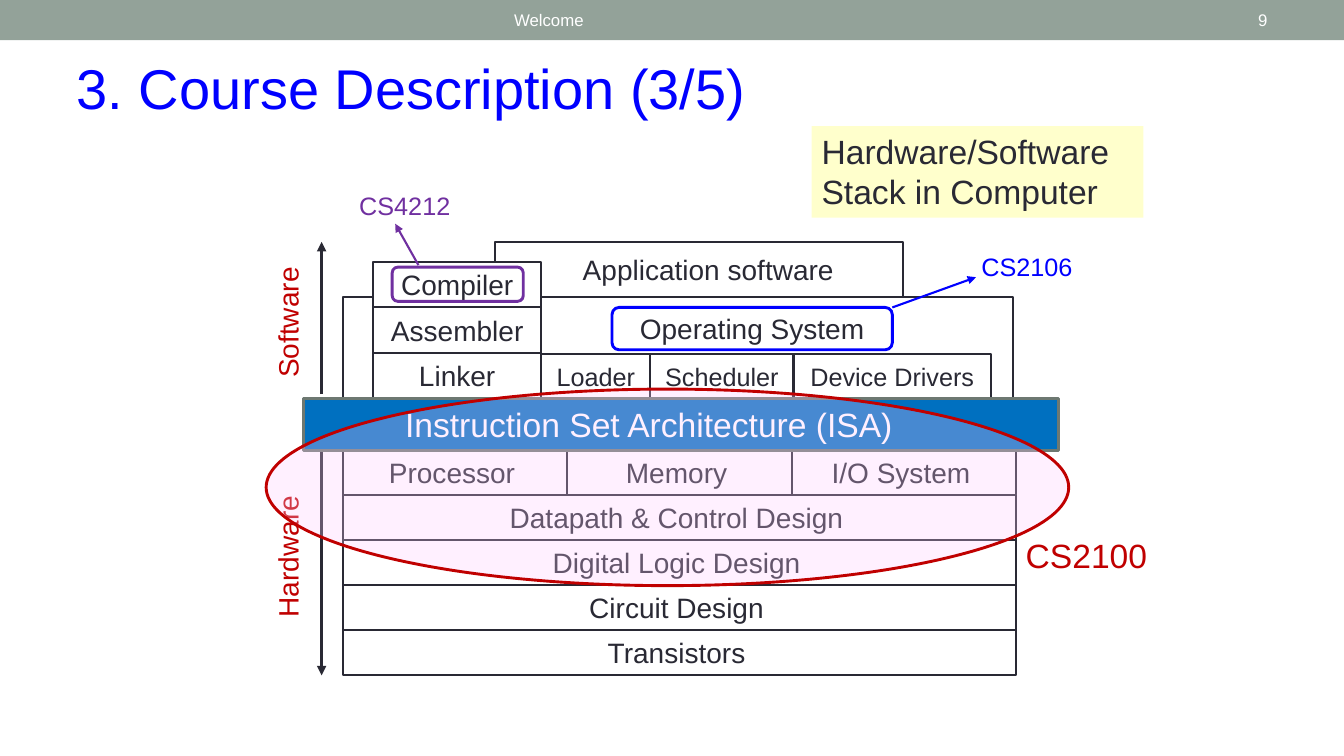
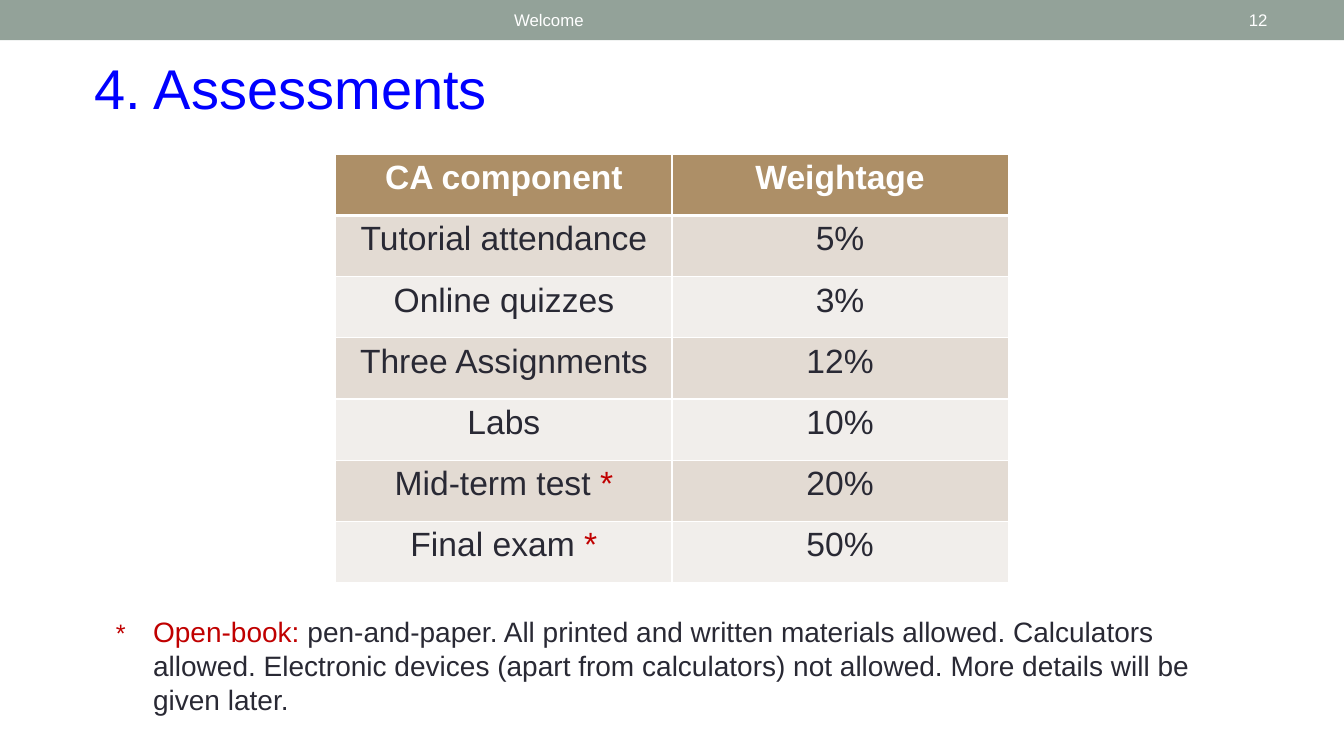
from lxml import etree
from pptx import Presentation
from pptx.dml import color
from pptx.enum import shapes, text
from pptx.oxml import ns
from pptx.util import Inches, Pt

FONT = "Arial"
INK, WHITE, BAND = "292934", "FFFFFF", "93A299"
BLUE, RED, PURPLE = "0000FF", "C00000", "7030A0"
SLIDE_WIDTH, SLIDE_HEIGHT = 13.33, 7.5
LEFT, CENTER, RIGHT = text.PP_ALIGN.LEFT, text.PP_ALIGN.CENTER, text.PP_ALIGN.RIGHT
TOP, MIDDLE = text.MSO_ANCHOR.TOP, text.MSO_ANCHOR.MIDDLE
RECT, ROUND, OVAL = (shapes.MSO_SHAPE.RECTANGLE, shapes.MSO_SHAPE.ROUNDED_RECTANGLE,
                     shapes.MSO_SHAPE.OVAL)


def paint(target, hex_color):
    """Give a fill, line fill or font a solid colour."""
    if hasattr(target, "solid"):
        target.solid()
        target.fore_color.rgb = color.RGBColor.from_string(hex_color)
    else:
        target.color.rgb = color.RGBColor.from_string(hex_color)


def inches(box):
    """Turn a box of numbers into lengths."""
    return [Inches(length) for length in box]


def child(parent, tag, **attributes):
    """Append a drawing element to its parent."""
    return etree.SubElement(parent, ns.qn(tag), attributes)


def add_runs(paragraph, runs, align=LEFT):
    """Add (wording, size, colour, bold) runs to a paragraph."""
    paragraph.alignment = align
    for wording, size, hex_color, bold in runs:
        run = paragraph.add_run()
        run.text = wording
        run.font.name, run.font.size, run.font.bold = FONT, Pt(size), bold
        paint(run.font, hex_color)


def set_text(frame, wording, size, hex_color, align=LEFT, anchor=TOP):
    """Fill a text frame with one wrapped line of wording."""
    frame.word_wrap = True
    frame.vertical_anchor = anchor
    add_runs(frame.paragraphs[0], [(wording, size, hex_color, False)], align)


def add_label(slide, box, wording, size, hex_color, align=CENTER, anchor=TOP, rotation=0):
    """Place free text, turned if asked."""
    label = slide.shapes.add_textbox(*inches(box))
    label.rotation = rotation
    set_text(label.text_frame, wording, size, hex_color, align, anchor)


def add_figure(slide, preset, box, fill=None, line=None, width=1.5):
    """Place a flat preset shape and return it."""
    figure = slide.shapes.add_shape(preset, *inches(box))
    figure.shadow.inherit = False
    if fill:
        paint(figure.fill, fill)
    else:
        figure.fill.background()
    if line:
        paint(figure.line.fill, line)
        figure.line.width = Pt(width)
    else:
        figure.line.fill.background()
    return figure


def add_block(slide, box, wording, size=20, shift=0, ink=INK, preset=RECT,
              fill=WHITE, line=INK, width=1.5):
    """Place a layer of the stack, its centred text shifted sideways."""
    block = add_figure(slide, preset, box, fill, line, width)
    frame = block.text_frame
    frame.margin_top = frame.margin_bottom = 0
    frame.margin_left, frame.margin_right = Inches(max(2 * shift, 0)), Inches(max(-2 * shift, 0))
    set_text(frame, wording, size, ink, CENTER, MIDDLE)


def add_arrow(slide, start, end, hex_color, width):
    """Draw an arrow from start to end."""
    arrow = slide.shapes.add_connector(shapes.MSO_CONNECTOR.STRAIGHT, *inches(start + end))
    paint(arrow.line.fill, hex_color)
    arrow.line.width = Pt(width)
    properties = arrow._element.spPr
    child(properties.find(ns.qn("a:ln")), "a:tailEnd", type="triangle")
    child(properties, "a:effectLst")


def add_framed_slide(deck, title, number, title_box):
    """Start a slide with the band, header, number and title."""
    slide = deck.slides.add_slide(deck.slide_layouts[5])
    add_figure(slide, RECT, (0, 0, SLIDE_WIDTH, 0.4), BAND)
    add_label(slide, (5, 0.02, 6, 0.36), "Welcome", 12, WHITE, LEFT, MIDDLE)
    add_label(slide, (11.63, 0.02, 1.04, 0.36), number, 12, WHITE, RIGHT, MIDDLE)
    heading = slide.shapes.title
    heading.left, heading.top, heading.width, heading.height = inches(title_box)
    heading.text_frame.auto_size = text.MSO_AUTO_SIZE.NONE
    set_text(heading.text_frame, title, 40, BLUE)
    return slide


def add_software_layers(slide, left, top):
    """Draw the software half of the stack from its top left corner."""
    add_block(slide, (left + 1.51, top, 4.05, 0.55), "Application software", shift=0.09)
    add_figure(slide, RECT, (left, top + 0.55, 6.65, 1.01), WHITE, INK)
    tool_height = 0.45
    for row, tool in enumerate(("Compiler", "Assembler", "Linker")):
        add_block(slide, (left + 0.3, top + 0.2 + row * tool_height, 1.67, tool_height), tool)
    service_left = left + 1.97
    for service, width in (("Loader", 1.08), ("Scheduler", 1.42), ("Device Drivers", 1.96)):
        add_block(slide, (service_left, top + 1.11, width, 0.45), service, 18)
        service_left += width
    add_block(slide, (left + 2.67, top + 0.65, 2.78, 0.42), "Operating System",
              preset=ROUND, fill=None, line=BLUE, width=2.08)
    add_figure(slide, ROUND, (left + 0.49, top + 0.25, 1.3, 0.34), None, PURPLE, 2.08)


def add_hardware_layers(slide, left, top, width, height):
    """Draw the hardware half as equal rows, the first split in three."""
    rows = (("Processor", "Memory", "I/O System"), ("Datapath & Control Design",),
            ("Digital Logic Design",), ("Circuit Design",), ("Transistors",))
    row_height = height / len(rows)
    for row, parts in enumerate(rows):
        part_width = width / len(parts)
        for column, part in enumerate(parts):
            add_block(slide, (left + column * part_width, top + row * row_height,
                              part_width, row_height), part, shift=-0.03)


def add_side_scale(slide, left, top, bottom):
    """Mark the software and hardware spans beside the stack."""
    for wording, label_top in (("Software", top + 0.58), ("Hardware", top + 2.9)):
        add_label(slide, (left, label_top, 1.51, 0.44), wording, 20, RED, rotation=270)
    axis = left + 1.09
    add_arrow(slide, (axis, top + 1.51), (axis, top), INK, 2.25)
    add_arrow(slide, (axis, top + 2.07), (axis, bottom), INK, 2.25)


def add_course_marks(slide, left, top):
    """Point out the courses that cover parts of the stack."""
    for course, label_left, label_top, hex_color, start, end in (
            ("CS2106", 6.18, 0.04, BLUE, (5.45, 0.65), (6.28, 0.35)),
            ("CS4212", 0.01, -0.56, PURPLE, (0.75, 0.23), (0.52, -0.18))):
        add_label(slide, (left + label_left, top + label_top, 1.21, 0.4), course, 18, hex_color)
        add_arrow(slide, (left + start[0], top + start[1]),
                  (left + end[0], top + end[1]), hex_color, 1.5)
    scope = add_figure(slide, OVAL, (left - 0.76, top + 1.46, 7.96, 1.95), "FFCCFF", RED, 2.08)
    tint = scope._element.spPr.find(ns.qn("a:solidFill"))[0]
    child(tint, "a:alpha", val="28000")
    add_label(slide, (left + 6.62, top + 2.86, 1.51, 0.5), "CS2100", 24, RED)


def build_stack_slide(deck):
    """Build the slide of the hardware and software stack."""
    slide = add_framed_slide(deck, "3. Course Description (3/5)", "9", (0.66, 0.48, 9, 0.77))
    caption = add_figure(slide, RECT, (8.05, 1.25, 3.29, 0.91), "FFFFCC")
    set_text(caption.text_frame, "Hardware/Software Stack in Computer", 24, INK)
    left, top, bottom = 3.4, 2.4, 6.7
    add_software_layers(slide, left, top)
    add_hardware_layers(slide, left, 4.46, 6.68, 2.24)
    add_side_scale(slide, 2.1, top, bottom)
    add_block(slide, (3.01, 3.95, 7.49, 0.52), "Instruction Set Architecture (ISA)", 24,
              -0.32, WHITE, fill="0070C0", line="6D7871", width=2.08)
    add_course_marks(slide, left, top)


def style_cell(cell, fill, edges):
    """Give a cell white edges of the stated widths and a fill."""
    properties = cell._tc.get_or_add_tcPr()
    for side, width in zip("LRTB", edges):
        edge = child(properties, f"a:ln{side}", w=str(Pt(width)))
        child(child(edge, "a:solidFill"), "a:srgbClr", val=WHITE)
    cell.fill.solid()
    paint(cell.fill, fill)


def add_weight_table(slide, box):
    """Lay out the assessment components and their weights."""
    weights = (("CA component", "Weightage"), ("Tutorial attendance", "5%"),
               ("Online quizzes", "3%"), ("Three Assignments", "12%"), ("Labs", "10%"),
               ("Mid-term test *", "20%"), ("Final exam *", "50%"))
    table = slide.shapes.add_table(len(weights), 2, *inches(box)).table
    for row, entries in enumerate(weights):
        header = row == 0
        fill = "AD8F67" if header else ("F1EEEB", "E3DBD3")[row % 2]
        edges = (1, 1, 3 if row == 1 else 1, 3 if header else 1)
        for column, entry in enumerate(entries):
            cell = table.cell(row, column)
            style_cell(cell, fill, edges)
            wording, star, _ = entry.partition("*")
            runs = [(wording, 24, WHITE if header else INK, header)]
            if star:
                runs.append((star, 24, RED, False))
            add_runs(cell.text_frame.paragraphs[0], runs, CENTER)


def add_footnote(slide, box):
    """Explain the starred entries with a hanging indent."""
    frame = slide.shapes.add_textbox(*inches(box)).text_frame
    frame.word_wrap = True
    paragraph = frame.paragraphs[0]
    indent = Inches(0.37)
    properties = paragraph._p.get_or_add_pPr()
    properties.set("marL", str(indent))
    properties.set("indent", str(-indent))
    add_runs(paragraph, [
        ("* \t", 18, RED, False),
        ("Open-book:", 20, RED, False),
        (" pen-and-paper. All printed and written materials allowed. Calculators allowed. "
         "Electronic devices (apart from calculators) not allowed. "
         "More details will be given later.", 20, INK, False)])


def build_assessment_slide(deck):
    """Build the slide of assessment weights."""
    slide = add_framed_slide(deck, "4. Assessments", "12", (0.84, 0.48, 10.33, 0.77))
    add_weight_table(slide, (3.33, 1.53, 6.67, 4.25))
    add_footnote(slide, (1.05, 6.05, 11.03, 1.11))


def main():
    """Build and save the deck."""
    deck = Presentation()
    deck.slide_width, deck.slide_height = Inches(SLIDE_WIDTH), Inches(SLIDE_HEIGHT)
    build_stack_slide(deck)
    build_assessment_slide(deck)
    deck.save("out.pptx")


if __name__ == "__main__":
    main()
